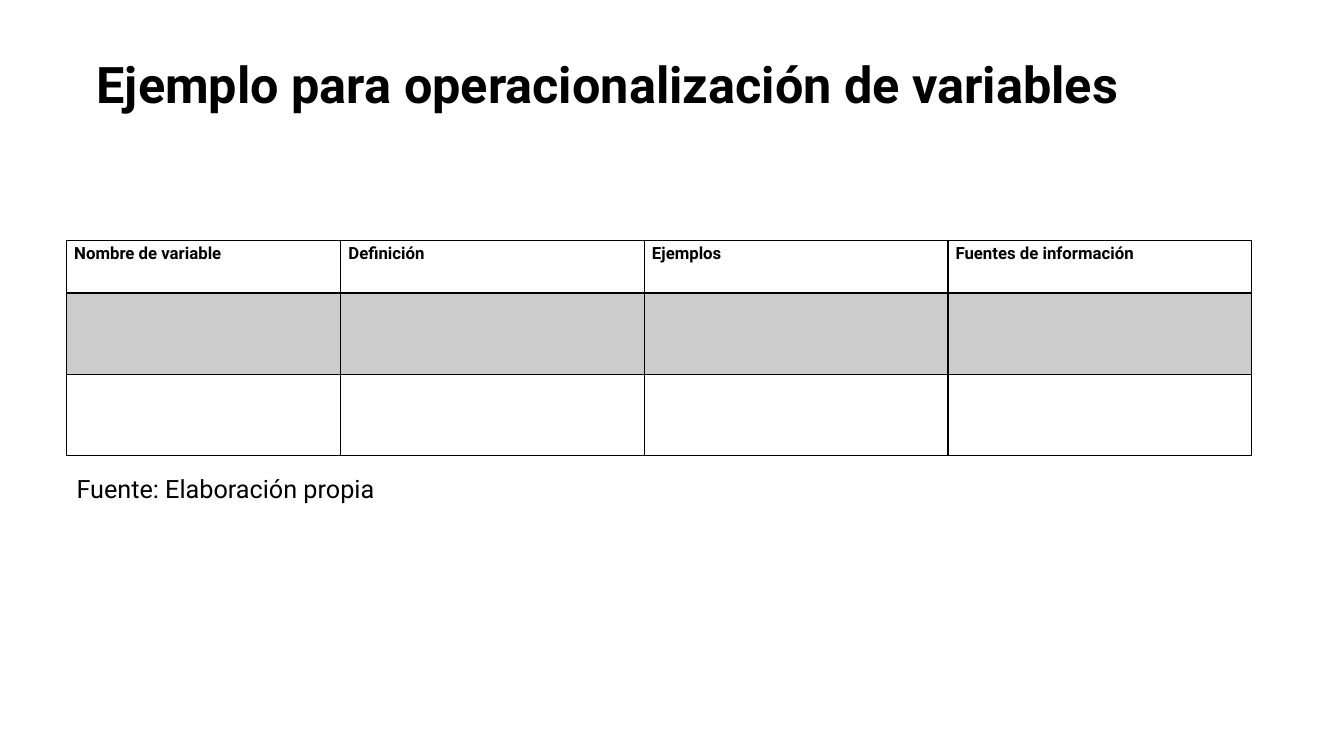
import lxml.etree
import pptx
import pptx.dml.color
import pptx.enum.text
import pptx.oxml.ns
import pptx.util

Cm = pptx.util.Cm
Pt = pptx.util.Pt
BLACK = pptx.dml.color.RGBColor(0, 0, 0)
FONT = "Roboto"
HEADERS = ["Nombre de variable", "Definición", "Ejemplos", "Fuentes de información"]
COLUMN_WIDTHS = [6.91, 7.65, 7.65, 7.65]
ROW_HEIGHTS = [1.32, 2.04, 2.04]


def add_span(para, text, size, bold=False):
    span = para.add_run()
    span.text = text
    span.font.name = FONT
    span.font.size = Pt(size)
    span.font.bold = bold
    span.font.color.rgb = BLACK


def add_child(parent, tag, **attributes):
    return lxml.etree.SubElement(parent, pptx.oxml.ns.qn(tag), **attributes)


def set_borders(cell, bottom_width):
    properties = cell._tc.get_or_add_tcPr()
    widths = {"a:lnL": 1, "a:lnR": 1, "a:lnT": 1, "a:lnB": bottom_width}
    for tag, width in widths.items():
        line = add_child(properties, tag, w=str(Pt(width)))
        add_child(add_child(line, "a:solidFill"), "a:srgbClr", val=str(BLACK))


def shade(cell, opacity):
    cell.fill.solid()
    cell.fill.fore_color.rgb = BLACK
    color = cell._tc.tcPr.find(".//" + pptx.oxml.ns.qn("a:solidFill") + "[last()]")
    fill = cell._tc.tcPr.findall(pptx.oxml.ns.qn("a:solidFill"))[-1]
    add_child(fill[0], "a:alpha", val=str(opacity * 1000))


def place_text(box, left, top, width, height, text, size, bold=False):
    box.left, box.top, box.width, box.height = Cm(left), Cm(top), Cm(width), Cm(height)
    frame = box.text_frame
    frame.word_wrap = True
    frame.auto_size = pptx.enum.text.MSO_AUTO_SIZE.SHAPE_TO_FIT_TEXT
    frame.vertical_anchor = pptx.enum.text.MSO_ANCHOR.TOP
    para = frame.paragraphs[0]
    para.alignment = pptx.enum.text.PP_ALIGN.LEFT
    add_span(para, text, size, bold)


def write_header(cell, text):
    cell.margin_left = cell.margin_right = Cm(0.19)
    cell.margin_top = cell.margin_bottom = 0
    para = cell.text_frame.paragraphs[0]
    para.alignment = pptx.enum.text.PP_ALIGN.JUSTIFY
    para.line_spacing = 1.15
    para.space_after = Pt(8)
    add_span(para, text, 12, bold=True)


def add_variable_table(page):
    frame = page.shapes.add_table(
        len(ROW_HEIGHTS), len(HEADERS), Cm(1.68), Cm(6.07),
        Cm(sum(COLUMN_WIDTHS)), Cm(sum(ROW_HEIGHTS)))
    table = frame.table
    table.first_row = False
    table.horz_banding = False
    for column, width in zip(table.columns, COLUMN_WIDTHS):
        column.width = Cm(width)
    for index, (row, height) in enumerate(zip(table.rows, ROW_HEIGHTS)):
        row.height = Cm(height)
        for cell, header in zip(row.cells, HEADERS):
            set_borders(cell, bottom_width=2 if index == 0 else 1)
            if index == 1:
                shade(cell, 20)
            else:
                cell.fill.background()
            if index == 0:
                write_header(cell, header)


def main():
    deck = pptx.Presentation()
    deck.slide_width, deck.slide_height = Cm(33.87), Cm(19.05)
    page = deck.slides.add_slide(deck.slide_layouts[5])

    # Title
    place_text(page.shapes.title, 2.18, 1.22, 28.37, 1.8,
               "Ejemplo para operacionalización de variables", 36, bold=True)

    # Table of variables
    add_variable_table(page)

    # Source line
    source = page.shapes.add_textbox(0, 0, 0, 0)
    place_text(source, 1.68, 11.81, 11.25, 1.02, "Fuente: Elaboración propia", 18)

    deck.save("out.pptx")


if __name__ == "__main__":
    main()
